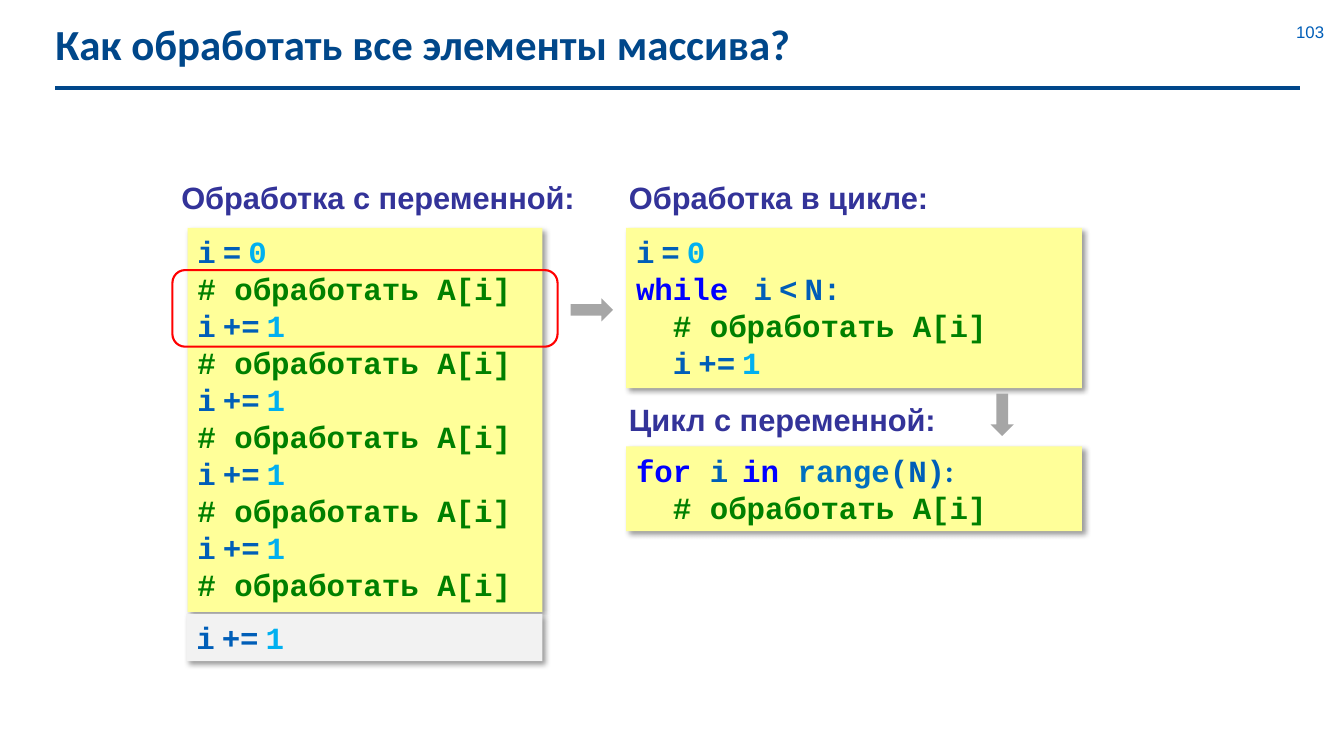
from lxml.etree import SubElement as Sub
from pptx import Presentation
from pptx.dml.color import RGBColor
from pptx.enum.shapes import MSO_CONNECTOR as Link, MSO_SHAPE as Shape
from pptx.enum.text import MSO_ANCHOR as Anchor, PP_ALIGN as Align
from pptx.oxml.ns import qn
from pptx.util import Inches, Pt

NAVY = RGBColor(0x00, 0x47, 0x8A)
BLUE = RGBColor(0x00, 0x5E, 0xB8)
PURPLE = RGBColor(0x33, 0x33, 0x99)
YELLOW = RGBColor(0xFF, 0xFF, 0x99)
PALE = RGBColor(0xF2, 0xF2, 0xF2)
GRAY = RGBColor(0xA6, 0xA6, 0xA6)
RED = RGBColor(0xFF, 0x00, 0x00)
CYAN = RGBColor(0x00, 0xB0, 0xF0)
GREEN = RGBColor(0x00, 0x80, 0x00)
KEY = RGBColor(0x00, 0x00, 0xFF)
FUNC = RGBColor(0x00, 0x70, 0xC0)
MONO, SANS, BODY = "Courier New", "Arial", "Calibri"

prs = Presentation()
prs.slide_width, prs.slide_height = Inches(13.33), Inches(7.5)
slide = prs.slides.add_slide(prs.slide_layouts[6])
shapes = slide.shapes


def write(frame, lines, size=22, bold=True):
    """Fill a text frame; each line is a list of (text, colour, font) runs."""
    frame.word_wrap = True
    for n, line in enumerate(lines):
        para = frame.paragraphs[0] if n == 0 else frame.add_paragraph()
        para.alignment = Align.LEFT
        for text, color, face in line:
            run = para.add_run()
            run.text = text
            font = run.font
            font.name, font.size, font.bold = face, Pt(size), bold
            font.color.rgb = color


def add(kind, box, fill=None):
    """Place a flat shape without outline; box is left, top, width, height."""
    shape = shapes.add_shape(kind, *map(Inches, box))
    shape.shadow.inherit = False
    shape.line.fill.background()
    if fill is None:
        shape.fill.background()
    else:
        shape.fill.solid()
        shape.fill.fore_color.rgb = fill
    return shape


# Title, rule and page number
rule = shapes.add_connector(Link.STRAIGHT, Inches(0.55), Inches(0.87),
                            Inches(12.89), Inches(0.87))
rule.line.color.rgb, rule.line.width = NAVY, Pt(3)
Sub(rule._element.spPr, qn("a:effectLst"))

title = shapes.add_textbox(*map(Inches, (0.45, 0.17, 12.21, 0.52))).text_frame
title.margin_top = 0
write(title, [[("Как обработать все элементы массива?", NAVY, BODY)]], 30.6)

page = shapes.add_textbox(*map(Inches, (12.28, 0.22, 1.43, 0.2))).text_frame
page.margin_left = page.margin_right = page.margin_top = page.margin_bottom = 0
page.vertical_anchor = Anchor.MIDDLE
write(page, [[("103", BLUE, SANS)]], 12, False)
page.paragraphs[0].alignment = Align.CENTER

# Headings
for left, top, text in [
    (1.7, 1.72, "Обработка с переменной:"),
    (6.14, 1.72, "Обработка в цикле:"),
    (6.14, 3.93, "Цикл с переменной:"),
]:
    head = shapes.add_textbox(*map(Inches, (left, top, 4.17, 0.47)))
    write(head.text_frame, [[(text, PURPLE, SANS)]])

# Code lines; gaps around operators are narrow
gap = (" ", BLUE, BODY)
var = ("i", BLUE, MONO)
start = [var, gap, ("=", BLUE, MONO), gap, ("0", CYAN, MONO)]
step = [var, gap, ("+=", BLUE, MONO), gap, ("1", CYAN, MONO)]
work = [("# обработать A[i]", GREEN, MONO)]
tab = ("  ", BLUE, MONO)
test = [("while ", KEY, MONO), gap, var, gap, ("<", BLUE, MONO), gap,
        ("N:", BLUE, MONO)]
loop = [("for ", KEY, MONO), var, gap, gap, ("in ", KEY, MONO),
        ("range", FUNC, MONO), ("(N)", BLUE, MONO), (":", BLUE, BODY)]

for box, fill, lines in [
    ((1.86, 2.26, 3.52, 3.81), YELLOW, [start] + [work, step] * 4 + [work]),
    ((1.85, 6.09, 3.53, 0.47), PALE, [step]),
    ((6.21, 2.26, 4.52, 1.59), YELLOW, [start, test, [tab] + work, [tab] + step]),
    ((6.21, 4.43, 4.52, 0.84), YELLOW, [loop, [tab] + work]),
]:
    code = add(Shape.RECTANGLE, box, fill)
    code.text_frame.vertical_anchor = Anchor.TOP
    write(code.text_frame, lines)
    glow = code._element.spPr.find(qn("a:effectLst"))
    shade = Sub(glow, qn("a:outerShdw"), blurRad=str(Pt(4)), dist=str(Pt(3)),
                dir="2700000", algn="tl", rotWithShape="0")
    black = Sub(shade, qn("a:srgbClr"), val="000000")
    Sub(black, qn("a:alpha"), val="40000")

# Repeated step and arrows
frame = add(Shape.ROUNDED_RECTANGLE, (1.71, 2.68, 3.82, 0.76))
frame.line.color.rgb, frame.line.width = RED, Pt(1.5)

for left, top, turn in [(5.66, 2.96, 0), (9.73, 4, 90)]:
    arrow = add(Shape.RIGHT_ARROW, (left, top, 0.42, 0.23), GRAY)
    arrow.rotation = turn

prs.save("out.pptx")
